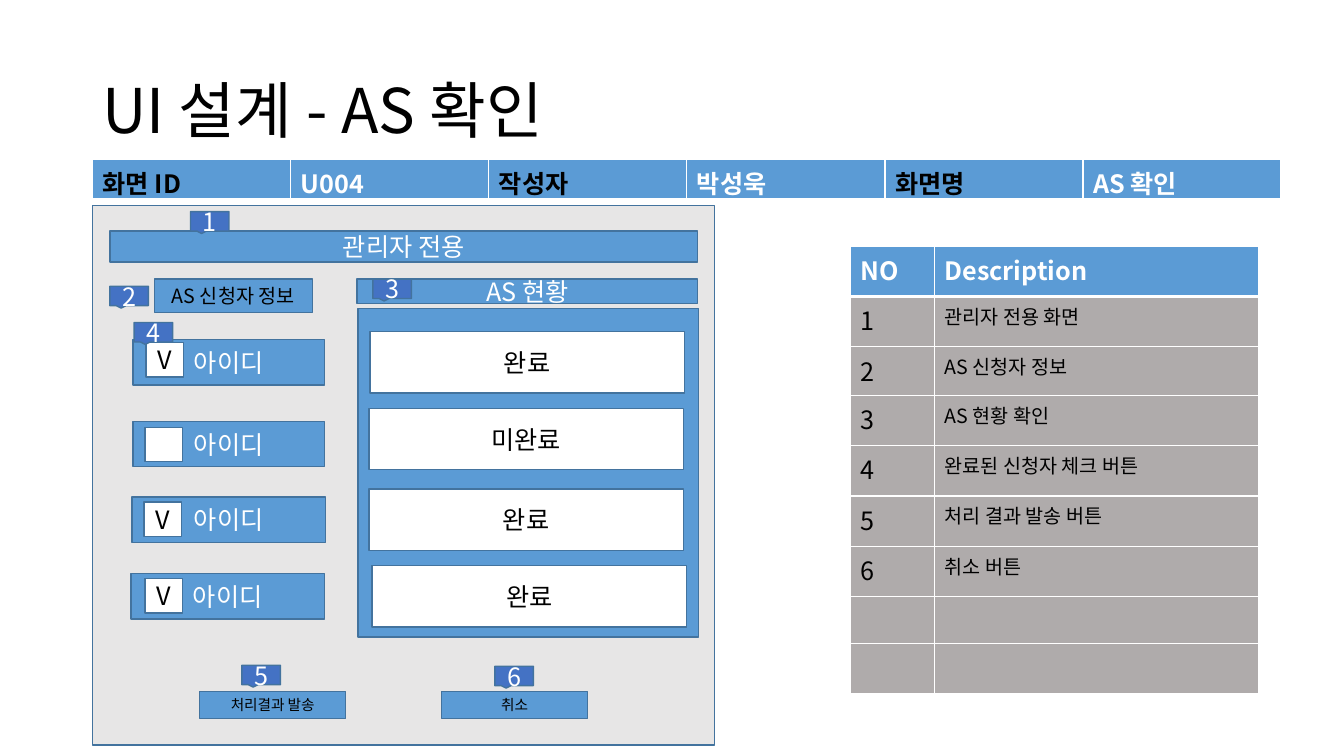
from dataclasses import dataclass
from lxml.etree import SubElement
from pptx import Presentation
from pptx.dml.color import RGBColor
from pptx.enum.shapes import MSO_SHAPE as Shape
from pptx.enum.text import MSO_ANCHOR as Anchor, PP_ALIGN as Align
from pptx.oxml.ns import qn
from pptx.util import Pt


@dataclass(frozen=True)
class Theme:
    font: str = "Noto Sans CJK KR"
    black: str = "000000"
    white: str = "FFFFFF"
    blue: str = "5B9BD5"
    marker: str = "4472C4"
    outline: str = "43739E"
    panel: str = "E7E6E6"
    gray: str = "AFABAB"
    title: float = 44
    body: float = 18
    note: float = 14
    button: float = 10.5


class SlideBuilder:
    def __init__(self, deck, theme):
        self.theme = theme
        self.slide = deck.slides.add_slide(deck.slide_layouts[6])

    def add_span(self, para, text, size, color, bold=False):
        span = para.add_run()
        span.text = text
        font = span.font
        font.name, font.size, font.bold = self.theme.font, Pt(size), bold
        font.color.rgb = RGBColor.from_string(color)
        SubElement(span.font._element, qn("a:ea"), typeface=self.theme.font)

    def title(self, text, *bounds):
        box = self.slide.shapes.add_textbox(*map(Pt, bounds))
        frame = box.text_frame
        frame.word_wrap = True
        frame.vertical_anchor = Anchor.MIDDLE
        para = frame.paragraphs[0]
        para.line_spacing = 0.9
        self.add_span(para, text, self.theme.title, self.theme.black)

    def box(self, bounds, fill, text="", color=None, size=None, kind=Shape.RECTANGLE):
        shape = self.slide.shapes.add_shape(kind, *map(Pt, bounds))
        shape.shadow.inherit = False
        shape.fill.solid()
        shape.fill.fore_color.rgb = RGBColor.from_string(fill)
        shape.line.color.rgb = RGBColor.from_string(self.theme.outline)
        shape.line.width = Pt(1)
        if text:
            shape.text_frame.vertical_anchor = Anchor.MIDDLE
            para = shape.text_frame.paragraphs[0]
            para.alignment = Align.CENTER
            self.add_span(para, text, size or self.theme.body,
                          color or self.theme.white)

    def marker(self, number, left, top):
        self.box((left, top, 27.5, 13.9), self.theme.marker, str(number),
                 kind=Shape.RECTANGULAR_CALLOUT)

    def table(self, left, top, widths, heights):
        frame = self.slide.shapes.add_table(
            len(heights), len(widths),
            *map(Pt, (left, top, sum(widths), sum(heights))))
        for column, width in zip(frame.table.columns, widths):
            column.width = Pt(width)
        for row, height in zip(frame.table.rows, heights):
            row.height = Pt(height)
        return frame.table

    def cell(self, cell, fill, text="", size=None, color=None, header=False):
        properties = cell._tc.get_or_add_tcPr()
        for side in "LRTB":
            width = Pt(3 if header and side == "B" else 1)
            line = SubElement(properties, qn(f"a:ln{side}"), w=str(width))
            solid = SubElement(line, qn("a:solidFill"))
            SubElement(solid, qn("a:srgbClr"), val=self.theme.white)
        cell.fill.solid()
        cell.fill.fore_color.rgb = RGBColor.from_string(fill)
        if text:
            para = cell.text_frame.paragraphs[0]
            para.alignment = Align.JUSTIFY
            self.add_span(para, text, size or self.theme.body,
                          color or self.theme.black, header)


theme = Theme()
deck = Presentation()
deck.slide_width, deck.slide_height = Pt(960), Pt(540)
page = SlideBuilder(deck, theme)

# Screen panel and title
page.box((66.2, 146.9, 444.2, 385.2), theme.panel)
page.title("UI 설계 - AS 확인", 66.2, 28.8, 828, 104.4)

# Screen details: labels in black, values in white
details = ["화면 ID", "U004", "작성자", "박성욱", "화면명", "AS 확인"]
details_table = page.table(66.2, 113.8, [141.48] * len(details), [29.2])
for column, text in enumerate(details):
    page.cell(details_table.cell(0, column), theme.blue, text,
              color=theme.white if column % 2 else theme.black, header=True)

# Description table
descriptions = ["관리자 전용 화면", "AS 신청자 정보", "AS 현황 확인",
                "완료된 신청자 체크 버튼", "처리 결과 발송 버튼", "취소 버튼", "", ""]
notes_table = page.table(607.7, 175.7, [59.8, 231.8],
                         [36, 36, 34.6, 36, 36, 36, 36, 33.1, 36])
for column, text in enumerate(["NO", "Description"]):
    page.cell(notes_table.cell(0, column), theme.blue, text,
              color=theme.white, header=True)
for row, text in enumerate(descriptions, 1):
    page.cell(notes_table.cell(row, 0), theme.gray, str(row) if text else "")
    page.cell(notes_table.cell(row, 1), theme.gray, text, theme.note)

# Headings and status area
page.box((78.5, 164.9, 419.8, 22.3), theme.blue, "관리자 전용")
page.box((254.9, 199.4, 243.4, 17.3), theme.blue, "AS 현황")
page.box((255.6, 220.3, 243.4, 234.7), theme.blue)
page.box((110.2, 199.4, 113, 23.8), theme.blue, "AS 신청자 정보",
         theme.black, theme.note)

# Applicants: ID bar (left, top, width), check box and status (left, top)
applicants = [
    ((95, 242.6, 136.8), (104.4, 244.8), "V", (264.2, 236.9), "완료"),
    ((95, 301, 136.8), (103.7, 305.3), "", (263.5, 291.6), "미완료"),
    ((94.3, 355, 138.2), (103, 358.6), "V", (263.5, 349.2), "완료"),
    ((93.6, 409.7, 138.2), (103.7, 413.3), "V", (265.7, 403.9), "완료"),
]
for bar, check, mark, status, state in applicants:
    page.box((*status, 224.6, 43.9), theme.white, state, theme.black)
    page.box((*bar, 32.4), theme.blue, "아이디")
    page.box((*check, 26.6, 24.5), theme.white, mark, theme.black)

# Buttons
for left, text in [(142.6, "처리결과 발송"), (315.4, "취소")]:
    page.box((left, 493.9, 104.4, 19.4), theme.blue, text,
             theme.black, theme.button)

# Numbered markers
markers = [(136.1, 151.2), (78.5, 204.5), (266.4, 199.4),
           (95.8, 230.4), (172.8, 475.2), (353.5, 475.9)]
for number, (left, top) in enumerate(markers, 1):
    page.marker(number, left, top)

deck.save("out.pptx")
